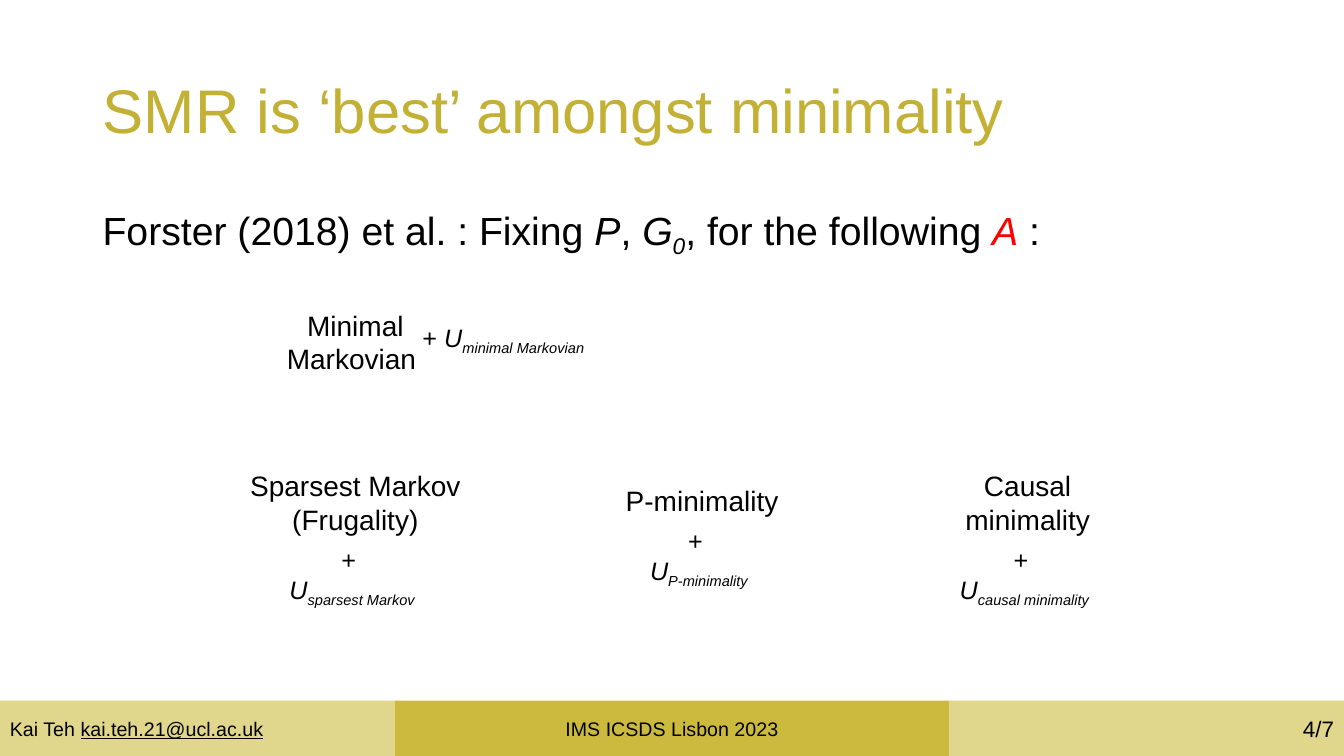
from pptx import Presentation
from pptx import util as u
from pptx.dml.color import RGBColor
from pptx.enum import shapes, text

WHITE = RGBColor(0xFF, 0xFF, 0xFF)
BLACK = RGBColor(0, 0, 0)
RED = RGBColor(0xFF, 0, 0)
GOLD = RGBColor(0xC2, 0xB1, 0x34)
DARK = RGBColor(0xCB, 0xBA, 0x3D)
PALE = RGBColor(0xE0, 0xD6, 0x8C)
LEFT, MID, RIGHT = text.PP_ALIGN.LEFT, text.PP_ALIGN.CENTER, text.PP_ALIGN.RIGHT


class Deck:
    """Draws styled elements on one slide, with lengths in percent of its size."""

    def __init__(self):
        self.prs = Presentation()
        self.prs.slide_width, self.prs.slide_height = u.Inches(13.33), u.Inches(7.5)
        self.page = self.prs.slides.add_slide(self.prs.slide_layouts[5])
        self.face = "Arial"

    def box(self, x, y, w, h):
        wide, high = self.prs.slide_width / 100, self.prs.slide_height / 100
        return int(x * wide), int(y * high), int(w * wide), int(h * high)

    def fill_text(self, frame, paras, size, align=LEFT, color=BLACK, lead=None):
        frame.word_wrap = True
        frame.auto_size = text.MSO_AUTO_SIZE.NONE
        for n, runs in enumerate(paras):
            para = frame.add_paragraph() if n else frame.paragraphs[0]
            para.alignment = align
            if lead:
                para.line_spacing = lead
            for words, *marks in runs:
                run = para.add_run()
                run.text = words
                font = run.font
                font.name, font.size = self.face, u.Pt(size)
                font.color.rgb = RED if "red" in marks else color
                font.italic = "it" in marks
                font.underline = "line" in marks
                if "sub" in marks:
                    run._r.get_or_add_rPr().set("baseline", "-25000")

    def title(self, words, *area):
        head = self.page.shapes.title
        head.left, head.top, head.width, head.height = self.box(*area)
        head.fill.solid()
        head.fill.fore_color.rgb = WHITE
        head.text_frame.vertical_anchor = text.MSO_ANCHOR.MIDDLE
        self.fill_text(head.text_frame, [[(words,)]], 44, color=GOLD, lead=0.9)

    def label(self, paras, area, size, align=LEFT, lead=None):
        note = self.page.shapes.add_textbox(*self.box(*area))
        self.fill_text(note.text_frame, paras, size, align, lead=lead)

    def bar(self, runs, area, fill, size, align):
        band = self.page.shapes.add_shape(shapes.MSO_SHAPE.RECTANGLE, *self.box(*area))
        band.shadow.inherit = False
        band.fill.solid()
        band.fill.fore_color.rgb = fill
        band.line.fill.background()
        band.text_frame.vertical_anchor = text.MSO_ANCHOR.MIDDLE
        self.fill_text(band.text_frame, [runs], size, align)

    def name(self, words, mid, top, high):
        wide = 17.6
        self.label([[(words,)]], (mid - wide / 2, top, wide, high), 20, MID)


def main():
    deck = Deck()
    deck.title("SMR is ‘best’ amongst minimality", 6.9, 5.33, 86.25, 19.33)
    claim = [("Forster (2018) et al. : Fixing ",), ("P", "it"), (", ",), ("G", "it"),
             ("0", "it", "sub"), (", for the following ",), ("A", "it", "red"), (" :",)]
    deck.label([claim], (6.9, 26.67, 90.6, 63.47), 28, lead=0.9)

    bars = [([("Kai Teh ",), ("kai.teh.21@ucl.ac.uk", "line")], 29.4, PALE, 14, LEFT),
            ([("IMS ICSDS Lisbon 2023",)], 41.2, DARK, 14, MID),
            ([("4/7",)], 29.4, PALE, 16, RIGHT)]
    x = 0
    for runs, wide, fill, size, align in bars:
        deck.bar(runs, (x, 92.67, wide, 7.33), fill, size, align)
        x += wide

    deck.name("Minimal Markovian ", 26.44, 40.13, 10.27)
    deck.label([[("+ ",), ("U", "it"), ("minimal Markovian", "it", "sub")]],
               (30.7, 42, 20, 5.33), 18)

    goals = [("Sparsest Markov (Frugality)", "sparsest Markov", 26.44, 61.33, 10.27, 71.33),
             ("P-minimality", "P-minimality", 52.24, 63.33, 5.87, 68.8),
             ("Causal minimality", "causal minimality", 76.46, 61.33, 10.27, 71.33)]
    wide = 13.7
    for words, sub, mid, top, high, low in goals:
        deck.name(words, mid, top, high)
        deck.label([[("+ ",)], [("U", "it"), (sub, "it", "sub")]],
                   (mid - 0.24 - wide / 2, low, wide, 9.47), 18, MID)

    deck.prs.save("out.pptx")


if __name__ == "__main__":
    main()
